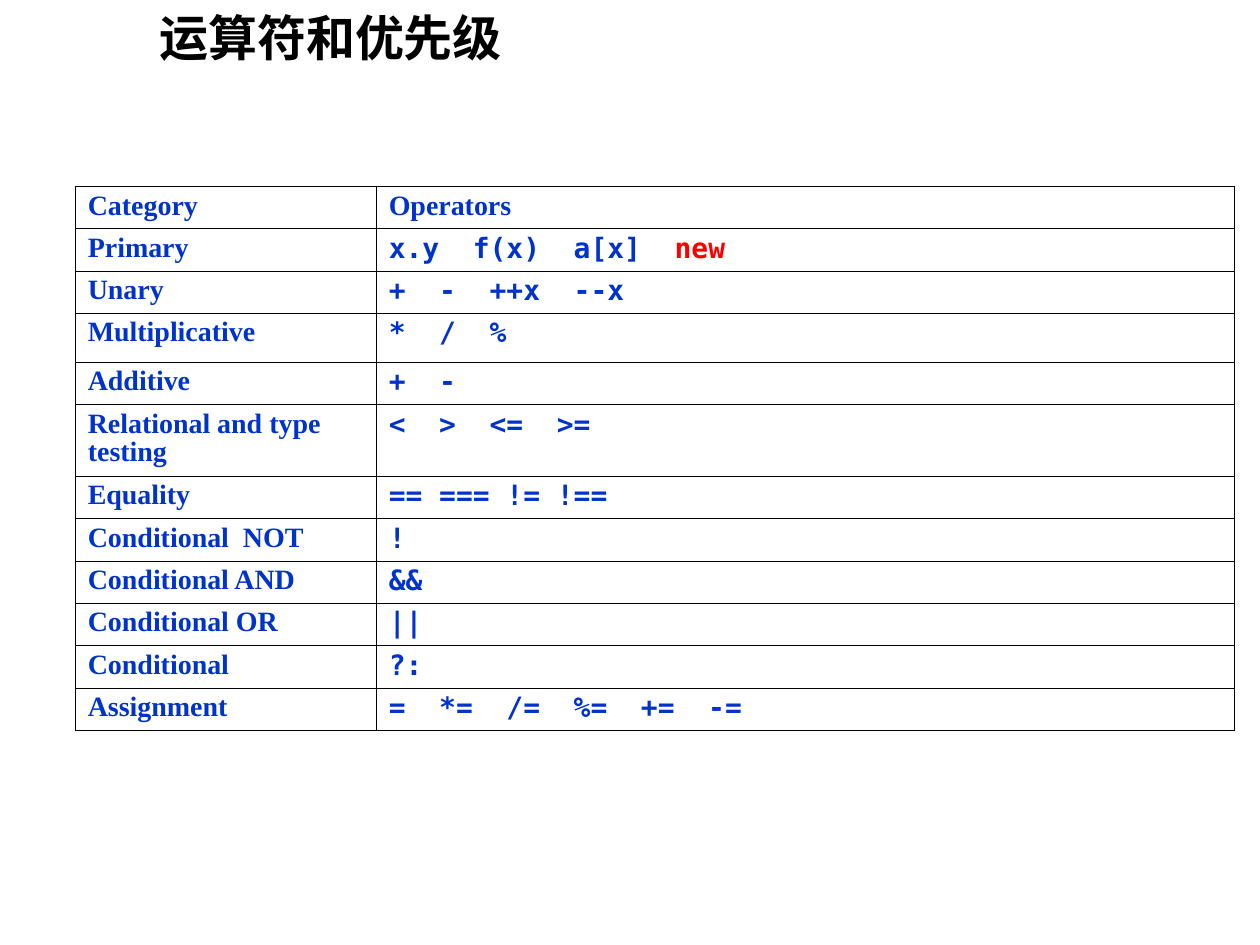
"""Build a slide with a table of operators in order of precedence."""
from lxml.etree import SubElement
from pptx import Presentation
from pptx.dml.color import RGBColor
from pptx.enum.text import MSO_ANCHOR
from pptx.oxml.ns import qn
from pptx.util import Pt

BLUE = RGBColor(0x00, 0x33, 0xCC)
RED = RGBColor(0xFF, 0x00, 0x00)
BLACK = RGBColor(0x00, 0x00, 0x00)
WHITE = RGBColor(0xFF, 0xFF, 0xFF)
SERIF, MONO, SANS = "Times New Roman", "DejaVu Sans Mono", "Lato"

TITLE = "运算符和优先级"
HEADINGS = ("Category", "Operators")
OPERATORS = [
    ("Primary", "x.y  f(x)  a[x]  ", "new"),
    ("Unary", "+  -  ++x  --x"),
    ("Multiplicative", "*  /  %"),
    ("Additive", "+  -"),
    ("Relational and type testing", "<  >  <=  >="),
    ("Equality", "== === != !=="),
    ("Conditional  NOT", "!"),
    ("Conditional AND", "&&"),
    ("Conditional OR", "||"),
    ("Conditional", "?:"),
    ("Assignment", "=  *=  /=  %=  +=  -="),
]
COLUMN_WIDTHS = (172, 490.5)
ROW_HEIGHT = 24.2
TALL_ROWS = {"Multiplicative": 28, "Relational and type testing": 41}
TABLE_LEFT, TABLE_TOP = 43, 106.5
BORDER_WIDTH = 0.45


def add_span(para, text, font_name, color, size=16):
    span = para.add_run()
    span.text = text
    formats = {"name": font_name, "size": Pt(size), "bold": True}
    for name, value in formats.items():
        setattr(span.font, name, value)
    span.font.color.rgb = color


def add_borders(cell):
    properties = cell._tc.get_or_add_tcPr()
    for index, side in enumerate(("lnL", "lnR", "lnT", "lnB")):
        line = SubElement(properties, qn(f"a:{side}"), w=str(Pt(BORDER_WIDTH)))
        fill = SubElement(line, qn("a:solidFill"))
        SubElement(fill, qn("a:srgbClr"), val=str(BLACK))
        properties.insert(index, line)


def fill_cell(cell, spans):
    cell.fill.solid()
    cell.fill.fore_color.rgb = WHITE
    add_borders(cell)
    para = cell.text_frame.paragraphs[0]
    para.line_spacing = 0.9
    for span in spans:
        add_span(para, *span)


def add_operator_table(page):
    rows = [[[(heading, SERIF, BLUE)] for heading in HEADINGS]]
    for category, symbols, *keywords in OPERATORS:
        operators = [(symbols, MONO, BLUE)]
        operators += [(keyword, MONO, RED) for keyword in keywords]
        rows.append([[(category, SERIF, BLUE)], operators])
    heights = [TALL_ROWS.get(row[0][0][0], ROW_HEIGHT) for row in rows]
    table = page.shapes.add_table(
        len(rows), len(COLUMN_WIDTHS), Pt(TABLE_LEFT), Pt(TABLE_TOP),
        Pt(sum(COLUMN_WIDTHS)), Pt(sum(heights))).table
    table.first_row = table.horz_banding = False
    for column, width in zip(table.columns, COLUMN_WIDTHS):
        column.width = Pt(width)
    for table_row, height, row in zip(table.rows, heights, rows):
        table_row.height = Pt(height)
        for cell, spans in zip(table_row.cells, row):
            fill_cell(cell, spans)


def add_title(page):
    box = page.shapes.add_textbox(Pt(84), Pt(-24), Pt(612), Pt(90))
    frame = box.text_frame
    frame.word_wrap = True
    frame.vertical_anchor = MSO_ANCHOR.MIDDLE
    add_span(frame.paragraphs[0], TITLE, SANS, BLACK, 28)


def main():
    deck = Presentation()
    deck.slide_width, deck.slide_height = Pt(720), Pt(540)
    page = deck.slides.add_slide(deck.slide_layouts[6])
    add_operator_table(page)
    add_title(page)
    deck.save("out.pptx")


if __name__ == "__main__":
    main()
